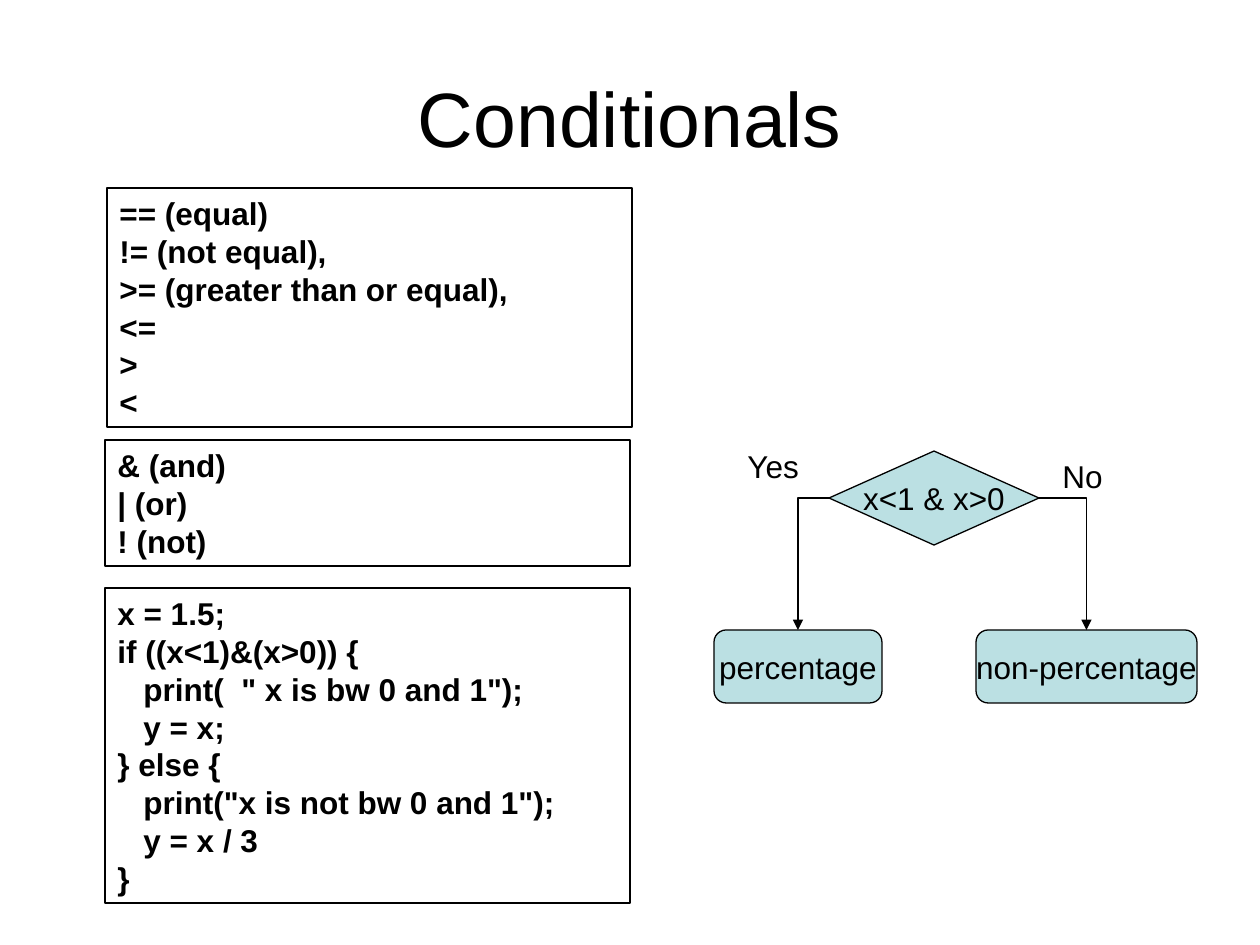
from dataclasses import dataclass
from typing import NamedTuple

from lxml import etree
from pptx import Presentation
from pptx import util as u
from pptx.dml.color import RGBColor
from pptx.enum import shapes, text
from pptx.oxml import ns

PX = 914400 / 126


@dataclass(frozen=True)
class Theme:
    font: str = "Arial"
    ink: RGBColor = RGBColor(0, 0, 0)
    node: RGBColor = RGBColor(0xBB, 0xE0, 0xE3)
    title_size: int = 44
    text_size: int = 18
    line_width: float = 0.75
    code_indent: int = 26


class Box(NamedTuple):
    left: int
    top: int
    width: int
    height: int


class Line(NamedTuple):
    text: str
    level: int = 0


class Panel(NamedTuple):
    box: Box
    lines: list[Line]


class Label(NamedTuple):
    box: Box
    text: str


class Node(NamedTuple):
    box: Box
    kind: shapes.MSO_SHAPE
    text: str


THEME = Theme()

TITLE = Label(Box(63, 38, 1134, 157), "Conditionals")

PANELS = [
    Panel(Box(107, 188, 525, 239), [
        Line("== (equal)"),
        Line("!= (not equal),"),
        Line(">= (greater than or equal),"),
        Line("<="),
        Line(">"),
        Line("<"),
    ]),
    Panel(Box(105, 440, 525, 126), [
        Line("& (and)"),
        Line("| (or)"),
        Line("! (not)"),
    ]),
    Panel(Box(105, 588, 525, 315), [
        Line("x = 1.5;"),
        Line("if ((x<1)&(x>0)) {"),
        Line('print(  " x is bw 0 and 1");', 1),
        Line("y = x;", 1),
        Line("} else {"),
        Line('print("x is not bw 0 and 1");', 1),
        Line("y = x / 3", 1),
        Line("}"),
    ]),
]

STEP = shapes.MSO_SHAPE.FLOWCHART_ALTERNATE_PROCESS
DECISION = Node(Box(829, 451, 210, 94), shapes.MSO_SHAPE.FLOWCHART_DECISION, "x<1 & x>0")
YES_STEP = Node(Box(714, 630, 168, 73), STEP, "percentage")
NO_STEP = Node(Box(976, 630, 221, 73), STEP, "non-percentage")
ANSWERS = [Label(Box(735, 441, 79, 50), "Yes"), Label(Box(1050, 451, 79, 50), "No")]

TOP_SITE, LEFT_SITE, RIGHT_SITE = 0, 1, 3


def px(length: float) -> int:
    return u.Emu(round(length * PX))


def emu(box: Box) -> list[int]:
    return [px(length) for length in box]


def format_text(frame, size: int, bold: bool = False, align=text.PP_ALIGN.LEFT) -> None:
    for paragraph in frame.paragraphs:
        paragraph.alignment = align
        for run in paragraph.runs:
            run.font.name = THEME.font
            run.font.size = u.Pt(size)
            run.font.bold = bold
            run.font.color.rgb = THEME.ink


def outline(line) -> None:
    line.color.rgb = THEME.ink
    line.width = u.Pt(THEME.line_width)


def draw_title(slide, title: Label) -> None:
    heading = slide.shapes.title
    heading.left, heading.top, heading.width, heading.height = emu(title.box)
    frame = heading.text_frame
    frame.text = title.text
    frame.auto_size = text.MSO_AUTO_SIZE.NONE
    frame.vertical_anchor = text.MSO_ANCHOR.MIDDLE
    format_text(frame, THEME.title_size, align=text.PP_ALIGN.CENTER)


def draw_panel(slide, panel: Panel) -> None:
    frame_box = slide.shapes.add_shape(shapes.MSO_SHAPE.RECTANGLE, *emu(panel.box))
    frame_box.shadow.inherit = False
    frame_box.fill.background()
    outline(frame_box.line)
    frame = frame_box.text_frame
    frame.text = "\n".join(line.text for line in panel.lines)
    frame.word_wrap = True
    frame.auto_size = text.MSO_AUTO_SIZE.SHAPE_TO_FIT_TEXT
    frame.vertical_anchor = text.MSO_ANCHOR.TOP
    format_text(frame, THEME.text_size, bold=True)
    for paragraph, line in zip(frame.paragraphs, panel.lines):
        if line.level:
            properties = paragraph._p.get_or_add_pPr()
            properties.set("marL", str(px(line.level * THEME.code_indent)))
            properties.set("indent", "0")


def draw_node(slide, node: Node):
    step = slide.shapes.add_shape(node.kind, *emu(node.box))
    step.shadow.inherit = False
    step.fill.solid()
    step.fill.fore_color.rgb = THEME.node
    outline(step.line)
    frame = step.text_frame
    frame.text = node.text
    frame.word_wrap = False
    frame.vertical_anchor = text.MSO_ANCHOR.MIDDLE
    format_text(frame, THEME.text_size, align=text.PP_ALIGN.CENTER)
    return step


def draw_branch(slide, decision, site: int, step) -> None:
    start_x = decision.left + (decision.width if site == RIGHT_SITE else 0)
    start_y = decision.top + decision.height // 2
    branch = slide.shapes.add_connector(
        shapes.MSO_CONNECTOR.ELBOW, start_x, start_y, step.left + step.width // 2, step.top)
    branch.begin_connect(decision, site)
    branch.end_connect(step, TOP_SITE)
    outline(branch.line)
    properties = branch._element.spPr
    properties.find(ns.qn("a:prstGeom")).set("prst", "bentConnector2")
    arrow = etree.SubElement(properties.find(ns.qn("a:ln")), ns.qn("a:tailEnd"))
    arrow.set("type", "triangle")
    etree.SubElement(properties, ns.qn("a:effectLst"))


def draw_label(slide, label: Label) -> None:
    frame = slide.shapes.add_textbox(*emu(label.box)).text_frame
    frame.text = label.text
    frame.word_wrap = True
    frame.auto_size = text.MSO_AUTO_SIZE.SHAPE_TO_FIT_TEXT
    format_text(frame, THEME.text_size)


def main() -> None:
    deck = Presentation()
    deck.slide_width, deck.slide_height = px(1260), px(945)
    slide = deck.slides.add_slide(deck.slide_layouts.get_by_name("Title Only"))
    draw_title(slide, TITLE)
    for panel in PANELS:
        draw_panel(slide, panel)
    decision = draw_node(slide, DECISION)
    for site, node in ((LEFT_SITE, YES_STEP), (RIGHT_SITE, NO_STEP)):
        draw_branch(slide, decision, site, draw_node(slide, node))
    for answer in ANSWERS:
        draw_label(slide, answer)
    deck.save("out.pptx")


if __name__ == "__main__":
    main()
